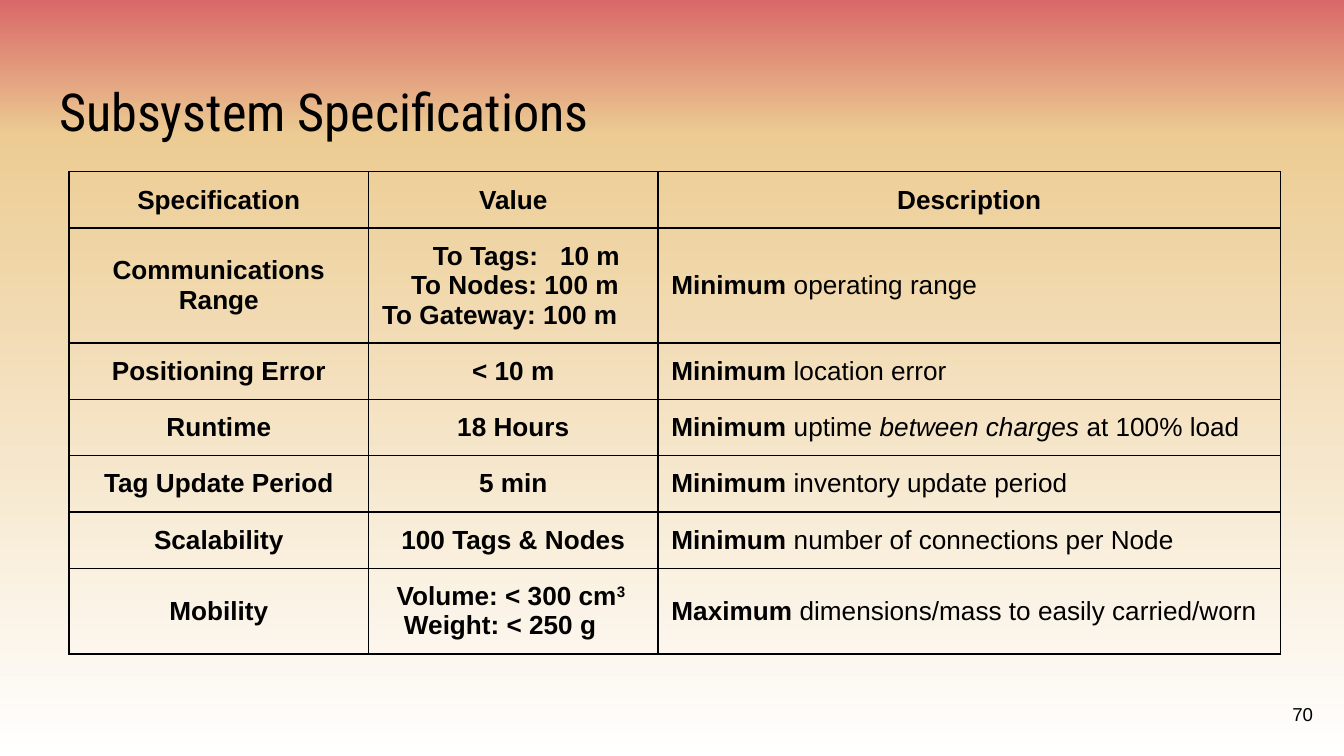
from dataclasses import dataclass

from lxml.etree import SubElement
from pptx import Presentation
from pptx.dml.color import RGBColor
from pptx.enum.text import MSO_ANCHOR as Anchor, MSO_AUTO_SIZE as AutoSize, PP_ALIGN as Align
from pptx.oxml import parse_xml
from pptx.oxml.ns import nsdecls, qn
from pptx.util import Pt

INK = "000000"
INSET = 7.2
BACKDROP = [(0, "D96868"), (18, "ECCC93"), (100, "FFFFFF")]
COLUMN_WIDTHS = [160.5, 155, 333.5]
ROW_HEIGHTS = [30, 61.5, 30, 30, 30, 30, 46]

TITLE = {"name": "Roboto Condensed", "size": Pt(28), "bold": False}
PLAIN = {"name": "Arial", "size": Pt(14), "bold": False}
STRONG = PLAIN | {"bold": True}
SLANTED = PLAIN | {"italic": True}
PAGE = PLAIN | {"size": Pt(10)}


@dataclass
class Span:
    text: str
    style: dict
    baseline: int = 0
    spacing: float = 0


@dataclass
class Line:
    spans: list[Span]
    align: Align = Align.LEFT
    indent: float = 0


def paint(color, value: str) -> None:
    color.rgb = RGBColor.from_string(value)


def strong(text: str, align: Align = Align.CENTER, indent: float = 0) -> Line:
    return Line([Span(text, STRONG)], align, indent)


def describe(limit: str, *rest: Span) -> list[Line]:
    return [Line([Span(limit, STRONG), *rest])]


def write(frame, lines: list[Line]) -> None:
    for position, line in enumerate(lines):
        paragraph = frame.paragraphs[0] if position == 0 else frame.add_paragraph()
        paragraph.alignment = line.align
        properties = paragraph._p.get_or_add_pPr()
        properties.set("marL", str(Pt(line.indent)))
        properties.set("indent", "0")
        for span in line.spans:
            run = paragraph.add_run()
            run.text = span.text
            for attribute, value in span.style.items():
                setattr(run.font, attribute, value)
            paint(run.font.color, INK)
            marks = run._r.get_or_add_rPr()
            if span.baseline:
                marks.set("baseline", str(span.baseline * 1000))
            if span.spacing:
                marks.set("spc", str(int(span.spacing * 100)))


def set_margins(target) -> None:
    for side in ("left", "top", "right", "bottom"):
        setattr(target, f"margin_{side}", Pt(INSET))


def outline(cell) -> None:
    properties = cell._tc.get_or_add_tcPr()
    for position, side in enumerate(("lnL", "lnR", "lnT", "lnB")):
        properties.insert(position, parse_xml(
            f'<a:{side} {nsdecls("a")} w="{Pt(0.75)}"><a:solidFill>'
            f'<a:srgbClr val="{INK}"/></a:solidFill></a:{side}>'))


def fill_backdrop(slide) -> None:
    fill = slide.background.fill
    fill.gradient()
    fill.gradient_angle = 270
    stops = slide._element.find(".//" + qn("a:gsLst"))
    for stop in list(stops):
        stops.remove(stop)
    for percent, color in BACKDROP:
        stop = SubElement(stops, qn("a:gs"), pos=str(percent * 1000))
        SubElement(stop, qn("a:srgbClr"), val=color)


def add_specifications(slide, rows: list[list[list[Line]]]) -> None:
    table = slide.shapes.add_table(
        len(rows), len(COLUMN_WIDTHS), Pt(37), Pt(92),
        Pt(sum(COLUMN_WIDTHS)), Pt(sum(ROW_HEIGHTS))).table
    table.first_row = table.horz_banding = False
    for column, width in zip(table.columns, COLUMN_WIDTHS):
        column.width = Pt(width)
    for row, height, contents in zip(table.rows, ROW_HEIGHTS, rows):
        row.height = Pt(height)
        for cell, lines in zip(row.cells, contents):
            cell.fill.background()
            cell.vertical_anchor = Anchor.MIDDLE
            set_margins(cell)
            outline(cell)
            write(cell.text_frame, lines)


def prepare(shape, box: tuple, anchor: Anchor, lines: list[Line]) -> None:
    shape.left, shape.top, shape.width, shape.height = map(Pt, box)
    frame = shape.text_frame
    frame.word_wrap = True
    frame.auto_size = AutoSize.NONE
    frame.vertical_anchor = anchor
    set_margins(frame)
    write(frame, lines)


SPECIFICATIONS = [
    [[strong("Specification")], [strong("Value")], [strong("Description")]],
    [[strong("Communications"), strong("Range")],
     [Line([Span("To Tags:", STRONG), Span(" ", STRONG, spacing=7.8),
            Span("10 m", STRONG)], indent=27.2),
      strong("To Nodes: 100 m", Align.LEFT, 15.6),
      strong("To Gateway: 100 m", Align.LEFT)],
     describe("Minimum", Span(" operating range", PLAIN))],
    [[strong("Positioning Error")], [strong("< 10 m")],
     describe("Minimum", Span(" location error", PLAIN))],
    [[strong("Runtime")], [strong("18 Hours")],
     describe("Minimum", Span(" uptime ", PLAIN), Span("between charges", SLANTED),
              Span(" at 100% load", PLAIN))],
    [[strong("Tag Update Period")], [strong("5 min")],
     describe("Minimum", Span(" inventory update period", PLAIN))],
    [[strong("Scalability")], [strong("100 Tags & Nodes")],
     describe("Minimum", Span(" number of connections per Node", PLAIN))],
    [[strong("Mobility")],
     [Line([Span("Volume: < 300 cm", STRONG), Span("3", STRONG, baseline=30)], indent=7.8),
      strong("Weight: < 250 g", Align.LEFT, 11.7)],
     describe("Maximum", Span(" dimensions/mass to easily carried/worn", PLAIN))],
]


def main() -> None:
    deck = Presentation()
    deck.slide_width, deck.slide_height = Pt(720), Pt(405)
    slide = deck.slides.add_slide(deck.slide_layouts[5])
    fill_backdrop(slide)
    prepare(slide.shapes.title, (24.5, 35.5, 671, 45), Anchor.TOP,
            [Line([Span("Subsystem Specifications", TITLE)])])
    add_specifications(slide, SPECIFICATIONS)
    page_number = slide.shapes.add_textbox(0, 0, 0, 0)
    prepare(page_number, (667.5, 367, 43, 31), Anchor.MIDDLE,
            [Line([Span("70", PAGE)], Align.RIGHT)])
    deck.save("out.pptx")


if __name__ == "__main__":
    main()
